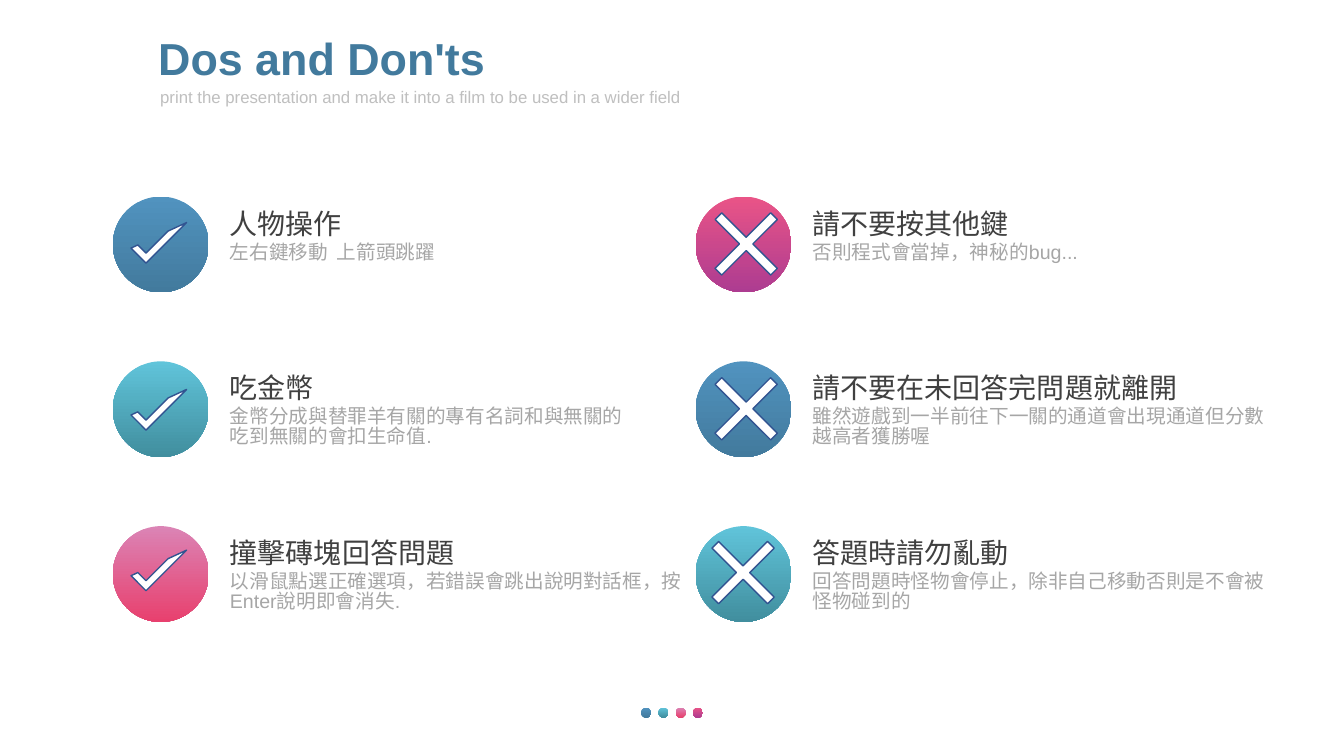
from dataclasses import dataclass

from pptx import Presentation
from pptx import util as u
from pptx.dml.color import RGBColor
from pptx.enum import shapes, text

SLIDE_WIDTH, SLIDE_HEIGHT = u.Inches(13.33), u.Inches(7.5)


@dataclass(frozen=True)
class Gradient:
    top: str
    bottom: str


@dataclass(frozen=True)
class Theme:
    font: str = "Arial"
    blue: Gradient = Gradient("5193BF", "427A9D")
    teal: Gradient = Gradient("60C4DA", "418E9E")
    pink: Gradient = Gradient("DB84B5", "E8406E")
    magenta: Gradient = Gradient("E95487", "AD3C91")
    title: str = "427A9D"
    subtitle: str = "BFBFBF"
    label: str = "404040"
    detail: str = "A6A6A6"
    mark_fill: str = "FFFFFF"
    mark_line: str = "325491"
    title_size: int = 32
    subtitle_size: int = 12
    label_size: int = 20
    detail_size: int = 14


THEME = Theme()


@dataclass(frozen=True)
class Box:
    """Percent shares of the slide's width (left, width) and height (top, height)."""
    left: float
    top: float
    width: float
    height: float

    def moved(self, right: float, down: float) -> "Box":
        return Box(self.left + right, self.top + down, self.width, self.height)

    def lengths(self) -> tuple[int, int, int, int]:
        return (int(SLIDE_WIDTH * self.left / 100), int(SLIDE_HEIGHT * self.top / 100),
                int(SLIDE_WIDTH * self.width / 100), int(SLIDE_HEIGHT * self.height / 100))


@dataclass(frozen=True)
class Mark:
    kind: shapes.MSO_SHAPE
    box: Box
    rotation: int
    adjustment: float | None = None


@dataclass(frozen=True)
class Rule:
    column: int
    row: int
    colours: Gradient
    mark: Mark
    label: str
    detail: tuple[str, ...]
    nudge: tuple[float, float] = (0, 0)
    label_width: float = 20.1
    detail_height: float = 5.2


# Grid of rules: first cell and pitch
GRID_LEFT, GRID_TOP = 8.4, 26
COLUMN_PITCH, ROW_PITCH = 43.36, 21.8
TEXT_OFFSET, LABEL_OFFSET, DETAIL_OFFSET = 8.7, 1.25, 6.2

# Boxes relative to a grid cell
DISC = Box(0, 0, 7.13, 12.67)
CHECK = Mark(shapes.MSO_SHAPE.HALF_FRAME, Box(2.63, 1.33, 1.58, 7.6), 225)
CROSS = Mark(shapes.MSO_SHAPE.CROSS, Box(0.83, 1.07, 5.85, 10.4), 45, 0.44)

# Page dots
FIRST_DOT = Box(47.71, 93.6, 0.75, 1.33)
DOT_PITCH = 1.28

RULES = [
    Rule(0, 0, THEME.blue, CHECK, "人物操作", ("左右鍵移動  上箭頭跳躍",), detail_height=2.67),
    Rule(0, 1, THEME.teal, CHECK, "吃金幣",
         ("金幣分成與替罪羊有關的專有名詞和與無關的", "吃到無關的會扣生命值."), (0, 0.27)),
    Rule(0, 2, THEME.pink, CHECK, "撞擊磚塊回答問題",
         ("以滑鼠點選正確選項，若錯誤會跳出說明對話框，按Enter說明即會消失.",), (0, -0.27)),
    Rule(1, 0, THEME.magenta, CROSS, "請不要按其他鍵",
         ("否則程式會當掉，神秘的bug...",), detail_height=2.67),
    Rule(1, 1, THEME.blue, CROSS, "請不要在未回答完問題就離開",
         ("雖然遊戲到一半前往下一關的通道會出現通道但分數越高者獲勝喔",), label_width=27.5),
    Rule(1, 2, THEME.teal, CROSS, "答題時請勿亂動",
         ("回答問題時怪物會停止，除非自己移動否則是不會被怪物碰到的",), (-0.23, -0.13)),
]


def add_disc(slide, box: Box, colours: Gradient) -> None:
    shape = slide.shapes.add_shape(shapes.MSO_SHAPE.OVAL, *box.lengths())
    shape.shadow.inherit = False
    shape.line.fill.background()
    shape.fill.gradient()
    shape.fill.gradient_angle = 270
    for stop, position, colour in zip(shape.fill.gradient_stops, (0, 1),
                                      (colours.top, colours.bottom)):
        stop.position = position
        stop.color.rgb = RGBColor.from_string(colour)


def add_mark(slide, mark: Mark, box: Box) -> None:
    shape = slide.shapes.add_shape(mark.kind, *box.lengths())
    shape.shadow.inherit = False
    shape.rotation = mark.rotation
    if mark.adjustment is not None:
        shape.adjustments[0] = mark.adjustment
    shape.fill.solid()
    shape.fill.fore_color.rgb = RGBColor.from_string(THEME.mark_fill)
    shape.line.color.rgb = RGBColor.from_string(THEME.mark_line)
    shape.line.width = u.Pt(1)


def add_text(slide, box: Box, lines: tuple[str, ...], size: int, colour: str, *,
             bold: bool = False, wrap: bool = True, inset: bool = False,
             spacing: float | u.Length | None = None) -> None:
    frame = slide.shapes.add_textbox(*box.lengths()).text_frame
    frame.word_wrap = wrap
    frame.auto_size = text.MSO_AUTO_SIZE.SHAPE_TO_FIT_TEXT
    if not inset:
        frame.margin_left = frame.margin_right = frame.margin_top = frame.margin_bottom = 0
    frame.text = "\n".join(lines)
    for paragraph in frame.paragraphs:
        paragraph.line_spacing = spacing
        paragraph.font.name = THEME.font
        paragraph.font.size = u.Pt(size)
        paragraph.font.bold = bold
        paragraph.font.color.rgb = RGBColor.from_string(colour)


def add_rule(slide, rule: Rule) -> None:
    left = GRID_LEFT + rule.column * COLUMN_PITCH
    top = GRID_TOP + rule.row * ROW_PITCH
    right, down = rule.nudge
    add_disc(slide, DISC.moved(left, top), rule.colours)
    add_mark(slide, rule.mark, rule.mark.box.moved(left + right, top + down))
    add_text(slide, Box(left + TEXT_OFFSET, top + DETAIL_OFFSET, 33.76, rule.detail_height),
             rule.detail, THEME.detail_size, THEME.detail, spacing=u.Pt(14))
    add_text(slide, Box(left + TEXT_OFFSET, top + LABEL_OFFSET, rule.label_width, 4.53),
             (rule.label,), THEME.label_size, THEME.label)


def main() -> None:
    presentation = Presentation()
    presentation.slide_width, presentation.slide_height = SLIDE_WIDTH, SLIDE_HEIGHT
    slide = presentation.slides.add_slide(presentation.slide_layouts[6])

    # Page dots
    for index, colours in enumerate((THEME.blue, THEME.teal, THEME.pink, THEME.magenta)):
        add_disc(slide, FIRST_DOT.moved(index * DOT_PITCH, 0), colours)

    # Heading
    add_text(slide, Box(11.03, 3.47, 26.03, 8.53), ("Dos and Don'ts",),
             THEME.title_size, THEME.title, bold=True, wrap=False, inset=True)
    add_text(slide, Box(11.18, 10.53, 45.76, 4.13),
             ("print the presentation and make it into a film to be used in a wider field",),
             THEME.subtitle_size, THEME.subtitle, inset=True, spacing=1.1)

    # Dos in the left column, don'ts in the right
    for rule in RULES:
        add_rule(slide, rule)

    presentation.save("out.pptx")


if __name__ == "__main__":
    main()
